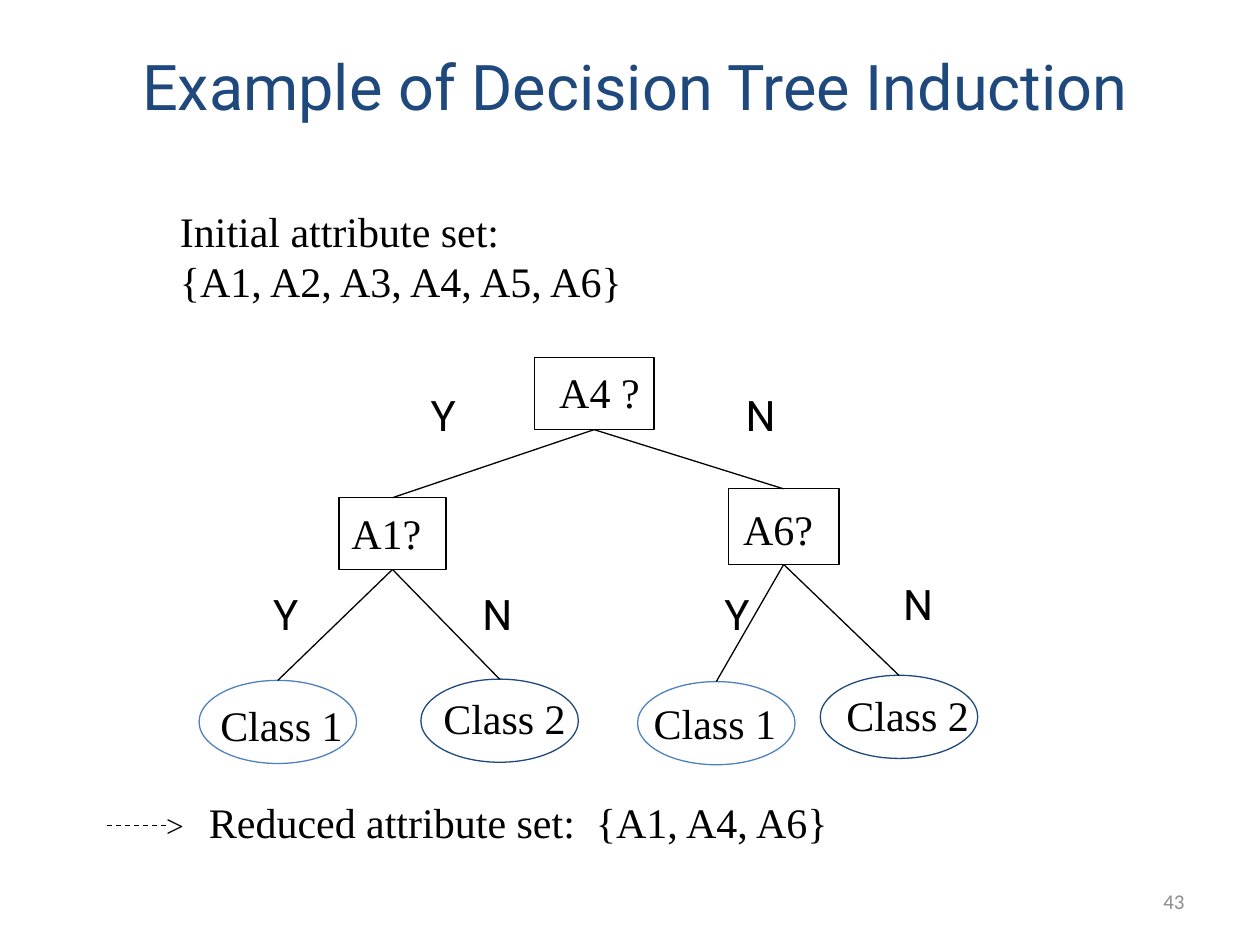
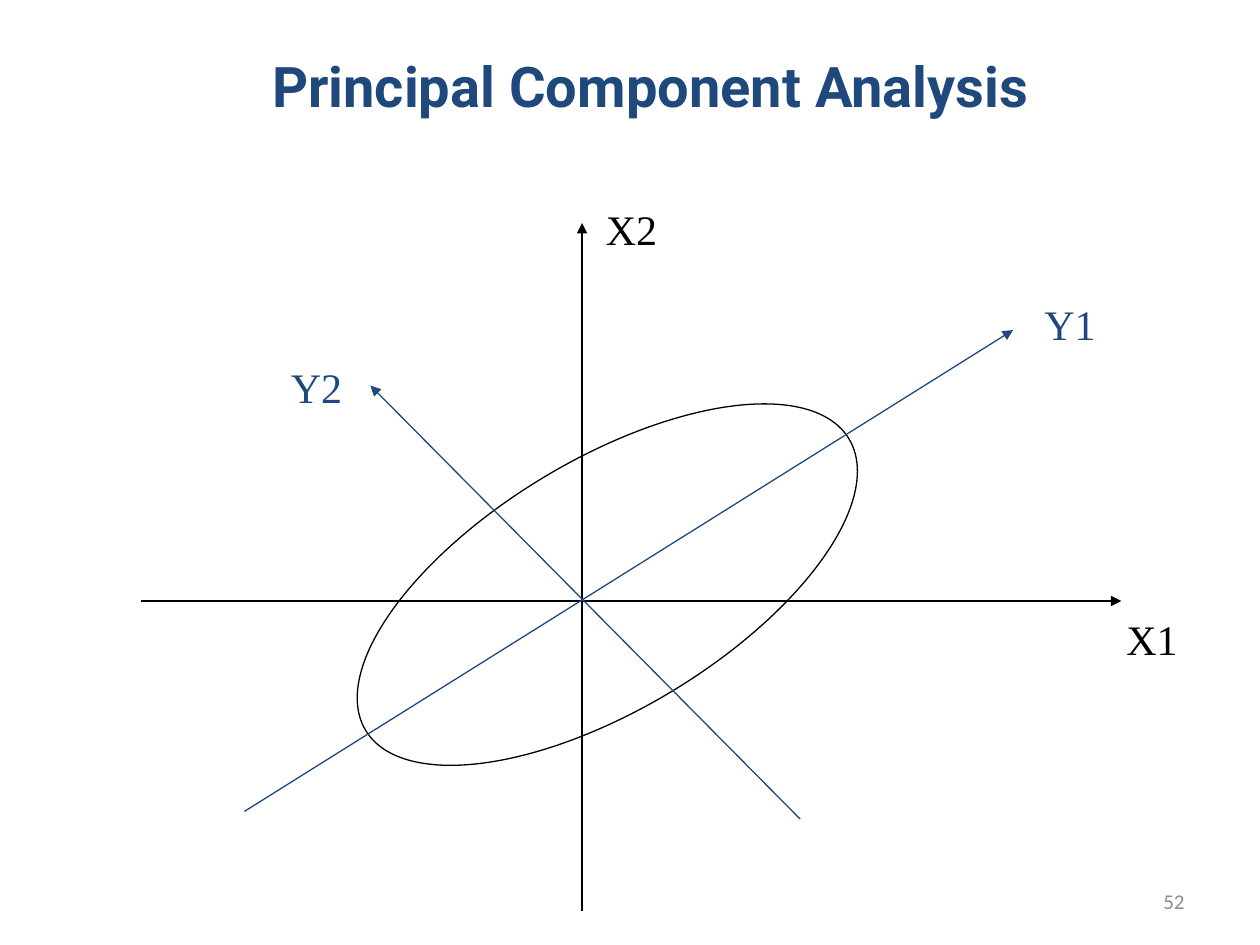
from lxml.etree import SubElement
from pptx import Presentation
from pptx.dml.color import RGBColor
from pptx.enum.dml import MSO_LINE
from pptx.enum.shapes import MSO_CONNECTOR, MSO_SHAPE
from pptx.enum.text import MSO_ANCHOR, MSO_AUTO_SIZE, PP_ALIGN
from pptx.oxml.ns import qn
from pptx.util import Pt

PX = 9144  # 100 px to the inch
BLACK = RGBColor(0x00, 0x00, 0x00)
NAVY = RGBColor(0x1F, 0x49, 0x7D)
BLUE = RGBColor(0x4F, 0x81, 0xBD)
GRAY = RGBColor(0x8C, 0x8C, 0x8C)
TOP, BOTTOM = 0, 2

# Text styles
BODY = {"name": "Times New Roman", "size": Pt(24), "color": BLACK}
AXIS_NAVY = {**BODY, "color": NAVY}
SMALL = {**BODY, "size": Pt(18)}
BRANCH = {**BODY, "name": "Roboto"}
TITLE = {"name": "Roboto", "size": Pt(36), "color": NAVY}
BOLD_TITLE = {**TITLE, "size": Pt(32), "bold": True}
NUMBER = {"name": "Calibri", "size": Pt(12), "color": GRAY}
NUMBER_AREA = (717, 695, 233, 40)

# Decision tree: node name -> shape, area, line colour, label, label area
TREE_NODES = {
    "root": (MSO_SHAPE.RECTANGLE, (424, 284, 95, 57), BLACK, "A4 ?", (434, 286, 97, 50)),
    "left": (MSO_SHAPE.RECTANGLE, (269, 395, 85, 57), BLACK, "A1?", (269, 398, 76, 50)),
    "right": (MSO_SHAPE.RECTANGLE, (578, 388, 88, 60), BLACK, "A6?", (580, 395, 76, 50)),
    "left yes": (MSO_SHAPE.OVAL, (158, 540, 125, 66), BLUE, "Class 1", (165, 550, 117, 50)),
    "left no": (MSO_SHAPE.OVAL, (334, 539, 125, 66), NAVY, "Class 2", (342, 545, 117, 50)),
    "right yes": (MSO_SHAPE.OVAL, (506, 541, 125, 66), BLUE, "Class 1", (509, 549, 117, 50)),
    "right no": (MSO_SHAPE.OVAL, (651, 536, 125, 66), NAVY, "Class 2", (662, 542, 117, 50)),
}
# Parent, child, answer, left and top of the answer
TREE_BRANCHES = [
    ("root", "left", "Y", 332, 304),
    ("root", "right", "N", 582, 304),
    ("left", "left yes", "Y", 207, 462),
    ("left", "left no", "N", 373, 462),
    ("right", "right yes", "Y", 565, 462),
    ("right", "right no", "N", 707, 454),
]
ANSWER_WIDTHS = {"Y": 39, "N": 42}
INITIAL_SET = ["Initial attribute set:", "{A1, A2, A3, A4, A5, A6}"]
REDUCED_SET = ["Reduced attribute set:  {A1, A4, A6}"]

# Principal components: name, start, end, left and top of the name, style
AXES = [
    ("X1", (112, 477), (890, 477), (884, 482), BODY),
    ("X2", (462, 723), (462, 177), (471, 157), BODY),
    ("Y1", (194, 644), (804, 262), (819, 232), AXIS_NAVY),
    ("Y2", (635, 650), (294, 306), (221, 282), AXIS_NAVY),
]
DATA_CLOUD = (258, 365, 448, 198)
DATA_CLOUD_ANGLE = 328.9


def scaled(lengths):
    return [length * PX for length in lengths]


def add_text(shapes, area, lines, style, align=PP_ALIGN.LEFT, wrap=False,
             grow=True, anchor=MSO_ANCHOR.TOP):
    frame = shapes.add_textbox(*scaled(area)).text_frame
    frame.word_wrap = wrap
    frame.auto_size = MSO_AUTO_SIZE.SHAPE_TO_FIT_TEXT if grow else MSO_AUTO_SIZE.NONE
    frame.vertical_anchor = anchor
    for index, line in enumerate(lines):
        para = frame.add_paragraph() if index else frame.paragraphs[0]
        para.alignment = align
        span = para.add_run()
        span.text = line
        for key, value in style.items():
            if key == "color":
                span.font.color.rgb = value
            else:
                setattr(span.font, key, value)


def add_outline(shapes, kind, area, color, angle=0):
    shape = shapes.add_shape(kind, *scaled(area))
    shape.shadow.inherit = False
    shape.fill.background()
    shape.line.color.rgb = color
    shape.line.width = Pt(0.75)
    shape.rotation = angle
    return shape


def add_line(shapes, start=(0, 0), end=(0, 0), color=BLACK, arrow=False):
    line = shapes.add_connector(MSO_CONNECTOR.STRAIGHT, *scaled(start + end))
    line.line.color.rgb = color
    line.line.width = Pt(0.75)
    if arrow:
        SubElement(line.line._get_or_add_ln(), qn("a:tailEnd"), type="triangle")
    SubElement(line._element.spPr, qn("a:effectLst"))
    return line


def add_page(deck, title, title_area, title_style, number):
    page = deck.slides.add_slide(deck.slide_layouts[6])
    add_text(page.shapes, NUMBER_AREA, [number], NUMBER, PP_ALIGN.RIGHT,
             wrap=True, grow=False, anchor=MSO_ANCHOR.MIDDLE)
    add_text(page.shapes, title_area, [title], title_style, PP_ALIGN.CENTER, wrap=True)
    return page.shapes


def build_tree_page(deck):
    shapes = add_page(deck, "Example of Decision Tree Induction",
                      (83, 33, 842, 70), TITLE, "43")
    add_text(shapes, (133, 158, 380, 90), INITIAL_SET, BODY)

    # Nodes and their labels
    nodes = {}
    for name, (kind, area, color, label, label_area) in TREE_NODES.items():
        nodes[name] = add_outline(shapes, kind, area, color)
        add_text(shapes, label_area, [label], BODY, wrap=name == "root")

    # Branches and their answers
    for parent, child, answer, left, top in TREE_BRANCHES:
        branch = add_line(shapes)
        branch.begin_connect(nodes[parent], BOTTOM)
        branch.end_connect(nodes[child], TOP)
        add_text(shapes, (left, top, ANSWER_WIDTHS[answer], 50), [answer], BRANCH)

    # Dashed arrow and the result
    arrow = shapes.add_group_shape().shapes
    add_line(arrow, (85, 655), (133, 655)).line.dash_style = MSO_LINE.DASH
    add_text(arrow, (122, 635, 34, 40), [">"], SMALL)
    add_text(shapes, (156, 627, 515, 50), REDUCED_SET, BODY)


def build_component_page(deck):
    shapes = add_page(deck, "Principal Component Analysis",
                      (150, 36, 733, 63), BOLD_TITLE, "52")
    add_outline(shapes, MSO_SHAPE.OVAL, DATA_CLOUD, BLACK, DATA_CLOUD_ANGLE)
    for name, start, end, corner, style in AXES:
        add_line(shapes, start, end, style["color"], arrow=True)
        add_text(shapes, corner + (61, 50), [name], style)


def main():
    deck = Presentation()
    deck.slide_width, deck.slide_height = scaled((1000, 750))
    build_tree_page(deck)
    build_component_page(deck)
    deck.save("out.pptx")


if __name__ == "__main__":
    main()
